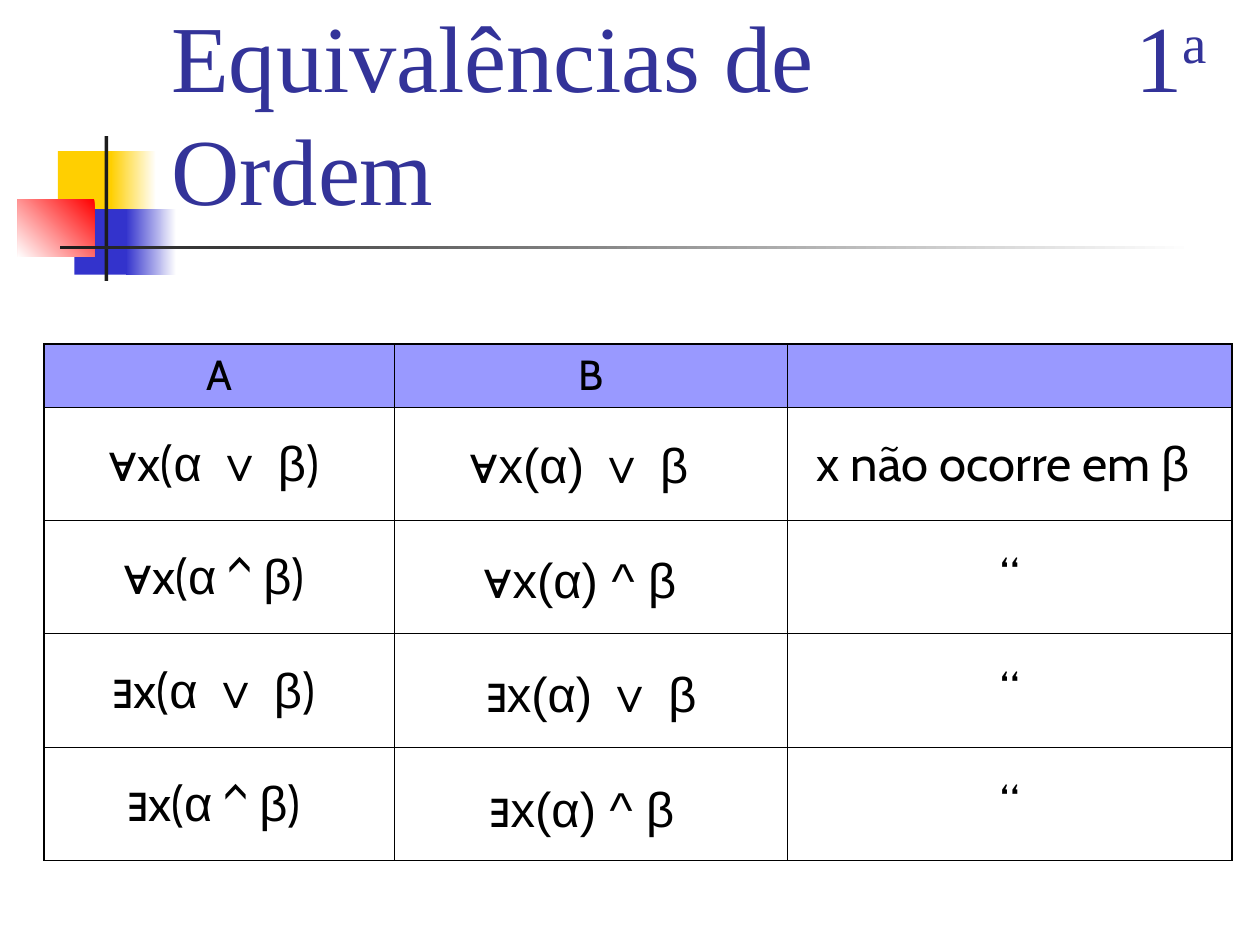
"""Build a slide of first-order logic equivalences with a bordered table."""
from dataclasses import dataclass
from typing import Any, Optional

import pptx
import pptx.dml.color
import pptx.enum.text
import pptx.oxml
import pptx.oxml.ns
import pptx.util
import pptx.enum.shapes
from lxml import etree

COLORS = {
    "yellow": "FFCF01", "blue": "3333CC", "red": "FF0000", "white": "FFFFFF",
    "dark": "1C1C1C", "title": "333399", "header": "9999FF", "black": "000000",
}
WIDTH, HEIGHT = pptx.util.Inches(10), pptx.util.Inches(7.5)
THIN, THICK = 0.45, 1.08


@dataclass(frozen=True)
class Box:
    """Position and size in percent of the slide's width and height."""
    x: float
    y: float
    w: float
    h: float

    def emu(self) -> tuple[int, ...]:
        pairs = ((self.x, WIDTH), (self.y, HEIGHT), (self.w, WIDTH), (self.h, HEIGHT))
        return tuple(round(share * side / 100) for share, side in pairs)


@dataclass(frozen=True)
class Block:
    """A decorative rectangle, fading to a second colour if one is given."""
    box: Box
    color: str
    fade_to: Optional[str] = None
    angle: float = 180


@dataclass(frozen=True)
class Formula:
    """A formula laid over the middle column at its own indent."""
    x: float
    w: float
    text: str


BLOCKS = (
    Block(Box(4.6, 16, 4.8, 6.93), "yellow"),
    Block(Box(8.8, 16, 3.6, 6.93), "white", "yellow"),
    Block(Box(5.9, 22.13, 4.6, 6.93), "blue"),
    Block(Box(10, 22.13, 4, 6.93), "white", "blue"),
    Block(Box(1.4, 21.07, 6.1, 6.13), "red", "white", 225),
    Block(Box(8.3, 14.4, 0.3, 15.33), "dark"),
    Block(Box(4.8, 26, 90, 0.4), "white", "dark"),
)
TITLE = Box(12.6, 3.07, 85.2, 21.33)
TABLE = Box(3.5, 36.4, 94.3, 54.67)
COLUMN_SHARES = (27.8, 31.2, 35.3)
ROW_SHARES = (6.67, 12, 12, 12, 12)
ROWS = (
    ("|A", "|B", ""),
    ("∀|x(|α ∨ β|) ", "", "|x não ocorre em |β "),
    ("∀|x(|α| ^ |β|) ", "", "|“"),
    ("∃|x(|α ∨ β|) ", "", "|“"),
    ("∃|x(|α| ^ |β|) ", "", "|“"),
)
FORMULAS = (
    Formula(36.3, 22.2, "∀x(α) ∨ β"),
    Formula(37.4, 22.2, "∀x(α) ^ β"),
    Formula(37.6, 22.6, "∃x(α) ∨ β"),
    Formula(37.9, 22.2, "∃x(α) ^ β"),
)
FORMULA_TOP, FORMULA_STEP, FORMULA_HEIGHT = 45.33, 12.13, 7.6


def rgb(name: str) -> pptx.dml.color.RGBColor:
    return pptx.dml.color.RGBColor.from_string(COLORS[name])


def apply(target: Any, values: dict[str, Any]) -> None:
    for name, value in values.items():
        setattr(target, name, value)


def add_run(p: Any, text: str, font: str, size: float, color: str = "black") -> Any:
    r = p.add_run()
    r.text = text
    apply(r.font, {"name": font, "size": pptx.util.Pt(size)})
    r.font.color.rgb = rgb(color)
    for tag in ("a:ea", "a:cs"):
        etree.SubElement(r.font._element, pptx.oxml.ns.qn(tag), typeface=font)
    return r


def add_block(s: Any, block: Block) -> None:
    sp = s.shapes.add_shape(pptx.enum.shapes.MSO_SHAPE.RECTANGLE, *block.box.emu())
    sp.shadow.inherit = False
    sp.line.fill.background()
    if block.fade_to is None:
        sp.fill.solid()
        sp.fill.fore_color.rgb = rgb(block.color)
        return
    sp.fill.gradient()
    sp.fill.gradient_angle = block.angle
    for stop, name in zip(sp.fill.gradient_stops, (block.color, block.fade_to)):
        stop.color.rgb = rgb(name)


def add_text_box(s: Any, box: Box, anchor: Any) -> Any:
    tf = s.shapes.add_textbox(*box.emu()).text_frame
    apply(tf, {"word_wrap": True, "vertical_anchor": anchor})
    return tf.paragraphs[0]


def add_title(s: Any) -> None:
    p = add_text_box(s, TITLE, pptx.enum.text.MSO_ANCHOR.BOTTOM)
    tabs = etree.SubElement(p._p.get_or_add_pPr(), pptx.oxml.ns.qn("a:tabLst"))
    etree.SubElement(tabs, pptx.oxml.ns.qn("a:tab"),
                     pos=str(round(WIDTH * 0.765)), algn="l")
    for text, baseline in (("Equivalências de\t1", 0), ("a", 30000), (" Ordem", 0)):
        r = add_run(p, text, "Times New Roman", 54, "title")
        r.font._element.set("baseline", str(baseline))


def set_borders(cell: Any, widths: dict[str, float]) -> None:
    tc_pr = cell._tc.get_or_add_tcPr()
    for i, (side, width) in enumerate(widths.items()):
        ln = etree.Element(pptx.oxml.ns.qn(f"a:ln{side}"), w=str(pptx.util.Pt(width)))
        fill = etree.SubElement(ln, pptx.oxml.ns.qn("a:solidFill"))
        etree.SubElement(fill, pptx.oxml.ns.qn("a:srgbClr"), val=COLORS["black"])
        tc_pr.insert(i, ln)


def fill_cell(cell: Any, text: str, header: bool) -> None:
    cell.vertical_anchor = pptx.enum.text.MSO_ANCHOR.MIDDLE
    if header:
        cell.fill.solid()
        cell.fill.fore_color.rgb = rgb("header")
    else:
        cell.fill.background()
    p = cell.text_frame.paragraphs[0]
    apply(p, {"alignment": pptx.enum.text.PP_ALIGN.CENTER,
              "space_before": pptx.util.Pt(6 if header else 7)})
    for i, part in enumerate(text.split("|")):
        if part:
            add_run(p, part, ("Arial", "Cabin")[i % 2], 24 if header else 28)


def add_equivalences(s: Any) -> None:
    last_row, last_col = len(ROWS) - 1, len(COLUMN_SHARES) - 1
    table = s.shapes.add_table(len(ROWS), len(COLUMN_SHARES), *TABLE.emu()).table
    apply(table, {"first_row": False, "horz_banding": False})
    for column, share in zip(table.columns, COLUMN_SHARES):
        column.width = round(WIDTH * share / 100)
    for row, share in zip(table.rows, ROW_SHARES):
        row.height = round(HEIGHT * share / 100)
    for i, texts in enumerate(ROWS):
        for j, text in enumerate(texts):
            cell = table.cell(i, j)
            fill_cell(cell, text, i == 0)
            outer = {"L": j == 0, "R": j == last_col, "T": i == 0, "B": i == last_row}
            set_borders(cell, {side: THICK if edge else THIN
                               for side, edge in outer.items()})


def add_formula(s: Any, row: int, formula: Formula) -> None:
    box = Box(formula.x, FORMULA_TOP + row * FORMULA_STEP, formula.w, FORMULA_HEIGHT)
    p = add_text_box(s, box, pptx.enum.text.MSO_ANCHOR.TOP)
    add_run(p, formula.text, "Arial", 28)


def main() -> None:
    prs = pptx.Presentation()
    apply(prs, {"slide_width": WIDTH, "slide_height": HEIGHT})
    s = prs.slides.add_slide(prs.slide_layouts[6])
    for block in BLOCKS:
        add_block(s, block)
    add_title(s)
    add_equivalences(s)
    for row, formula in enumerate(FORMULAS):
        add_formula(s, row, formula)
    prs.save("out.pptx")


if __name__ == "__main__":
    main()
